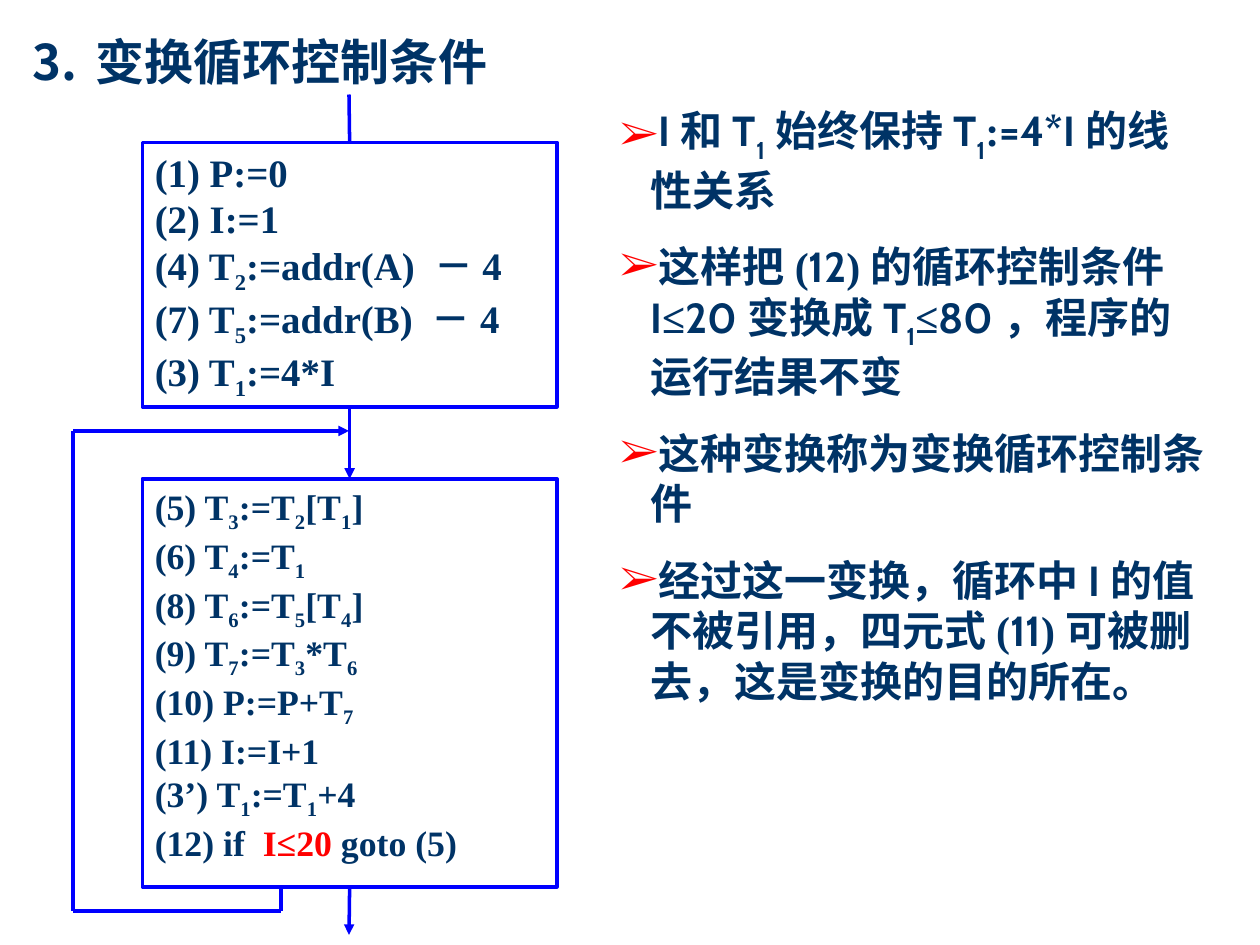
from itertools import groupby, pairwise

from lxml import etree
from pptx import Presentation
from pptx.dml.color import RGBColor
from pptx.enum.shapes import MSO_CONNECTOR, MSO_SHAPE
from pptx.enum.text import MSO_ANCHOR, MSO_AUTO_SIZE, PP_ALIGN
from pptx.oxml.ns import qn
from pptx.util import Inches, Pt

STRAIGHT = MSO_CONNECTOR.STRAIGHT
RECTANGLE = MSO_SHAPE.RECTANGLE
TOP = MSO_ANCHOR.TOP
FIXED_SIZE = MSO_AUTO_SIZE.NONE
LEFT, JUSTIFY = PP_ALIGN.LEFT, PP_ALIGN.JUSTIFY
TOP_SIDE, BOTTOM_SIDE = 0, 2

COLORS = {"text": "003366", "accent": "FF0000", "flow": "0000FF", "paper": "FFFFFF"}
SERIF, SANS = "Times New Roman", "Cabin"

# In these lines "_" lowers the next character and "~" encloses highlighted text.
POINTS = [
    "I和T_1始终保持T_1:=4*I的线性关系",
    "这样把(12)的循环控制条件 I≤20变换成T_1≤80，程序的运行结果不变",
    "这种变换称为变换循环控制条件",
    "经过这一变换，循环中I的值不被引用，四元式(11)可被删去，这是变换的目的所在。",
]
SETUP_CODE = [
    "(1) P:=0",
    "(2) I:=1",
    "(4) T_2:=addr(A) －4",
    "(7) T_5:=addr(B) －4",
    "(3) T_1:=4*I",
]
LOOP_CODE = [
    "(5) T_3:=T_2[T_1]",
    "(6) T_4:=T_1",
    "(8) T_6:=T_5[T_4]",
    "(9) T_7:=T_3*T_6",
    "(10) P:=P+T_7",
    "(11) I:=I+1",
    "(3’) T_1:=T_1+4 ",
    "(12) if  ~I≤20~ goto (5)",
]


def rgb(name):
    return RGBColor.from_string(COLORS[name])


def styled_pieces(line):
    """Yield (text, is_subscript, is_highlighted) for a marked-up line."""
    for index, section in enumerate(line.split("~")):
        highlighted = index % 2 == 1
        plain, *lowered = section.split("_")
        yield plain, False, highlighted
        for part in lowered:
            yield part[0], True, highlighted
            yield part[1:], False, highlighted


def is_latin(char):
    return char.isascii() and (char.isalnum() or char in "=*")


def write_text(paragraph, line, *, size, latin=SERIF, lowering=-25, align=LEFT, before=0):
    paragraph.alignment = align
    paragraph.space_before = Pt(before)
    for piece, lowered, highlighted in styled_pieces(line):
        for latin_part, chars in groupby(piece, is_latin if latin != SERIF else bool):
            run = paragraph.add_run()
            run.text = "".join(chars)
            run.font.name = latin if latin_part else SERIF
            run.font.size = Pt(size)
            run.font.bold = True
            run.font.color.rgb = rgb("accent" if highlighted else "text")
            if lowered:
                run.font._element.set("baseline", str(lowering * 1000))


def add_bullet(paragraph, kind, color, font, hanging, **attributes):
    properties = paragraph._p.get_or_add_pPr()
    properties.set("marL", str(Inches(hanging)))
    properties.set("indent", str(-Inches(hanging)))
    bullet_color = etree.SubElement(properties, qn("a:buClr"))
    etree.SubElement(bullet_color, qn("a:srgbClr"), val=COLORS[color])
    etree.SubElement(properties, qn("a:buFont"), typeface=font)
    etree.SubElement(properties, qn(f"a:{kind}"), **attributes)


class SlideBuilder:
    def __init__(self, slide, line_width=2):
        self.slide = slide
        self.line_width = Pt(line_width)

    def place(self, holder, left, top, width, height, wrap=True):
        """Move a placeholder and clear its inner margins."""
        holder.left, holder.top = Inches(left), Inches(top)
        holder.width, holder.height = Inches(width), Inches(height)
        frame = holder.text_frame
        frame.margin_left = frame.margin_right = 0
        frame.margin_top = frame.margin_bottom = 0
        frame.vertical_anchor = TOP
        frame.auto_size = FIXED_SIZE
        frame.word_wrap = wrap
        return frame

    def title(self, heading, number):
        frame = self.place(self.slide.shapes.title, 0.26, 0.25, 3.61, 0.47, wrap=False)
        paragraph = frame.paragraphs[0]
        add_bullet(paragraph, "buAutoNum", "text", SANS, 0.5,
                   type="arabicPeriod", startAt=str(number))
        write_text(paragraph, heading, size=28)

    def points(self, lines):
        frame = self.place(self.slide.placeholders[1], 4.92, 0.83, 4.67, 4.77)
        for index, line in enumerate(lines):
            paragraph = frame.add_paragraph() if index else frame.paragraphs[0]
            add_bullet(paragraph, "buChar", "accent", SERIF, 0.24, char="➢")
            write_text(paragraph, line, size=24, latin=SANS, lowering=-30,
                       before=15 if index else 0)

    def code_block(self, lines, top, height, size):
        block = self.slide.shapes.add_shape(
            RECTANGLE, Inches(1.13), Inches(top), Inches(3.29), Inches(height))
        block.shadow.inherit = False
        block.fill.solid()
        block.fill.fore_color.rgb = rgb("paper")
        block.line.color.rgb = rgb("flow")
        block.line.width = self.line_width
        frame = block.text_frame
        frame.word_wrap = True
        frame.vertical_anchor = TOP
        for index, line in enumerate(lines):
            paragraph = frame.add_paragraph() if index else frame.paragraphs[0]
            write_text(paragraph, line, size=size, align=JUSTIFY)
        return block

    def flow(self, start, end, source=None, target=None, arrow=False):
        """Draw a flow line, leaving a source's bottom and entering a target's top."""
        line = self.slide.shapes.add_connector(
            STRAIGHT, *(Inches(value) for value in (*start, *end)))
        line.line.color.rgb = rgb("flow")
        line.line.width = self.line_width
        if arrow:
            etree.SubElement(line.line._get_or_add_ln(), qn("a:tailEnd"), type="triangle")
        etree.SubElement(line._element.spPr, qn("a:effectLst"))
        if source is not None:
            line.begin_connect(source, BOTTOM_SIDE)
        if target is not None:
            line.end_connect(target, TOP_SIDE)


def main():
    presentation = Presentation()
    presentation.slide_width, presentation.slide_height = Inches(10), Inches(7.5)
    builder = SlideBuilder(presentation.slides.add_slide(presentation.slide_layouts[1]))

    builder.title("变换循环控制条件", number=3)
    builder.points(POINTS)

    setup = builder.code_block(SETUP_CODE, top=1.13, height=2.1, size=22.2)
    loop = builder.code_block(LOOP_CODE, top=3.8, height=3.24, size=20.4)

    center = 2.77
    builder.flow((center, 0.75), (center, 1.13), target=setup)
    builder.flow((center, 3.23), (center, 3.8), source=setup, target=loop, arrow=True)
    builder.flow((center, 7.04), (center, 7.42), source=loop, arrow=True)

    loop_back = [(2.23, 7.04), (2.23, 7.23), (0.58, 7.23), (0.58, 3.42), (center, 3.42)]
    for start, end in pairwise(loop_back):
        builder.flow(start, end, arrow=end == loop_back[-1])

    presentation.save("out.pptx")


if __name__ == "__main__":
    main()
